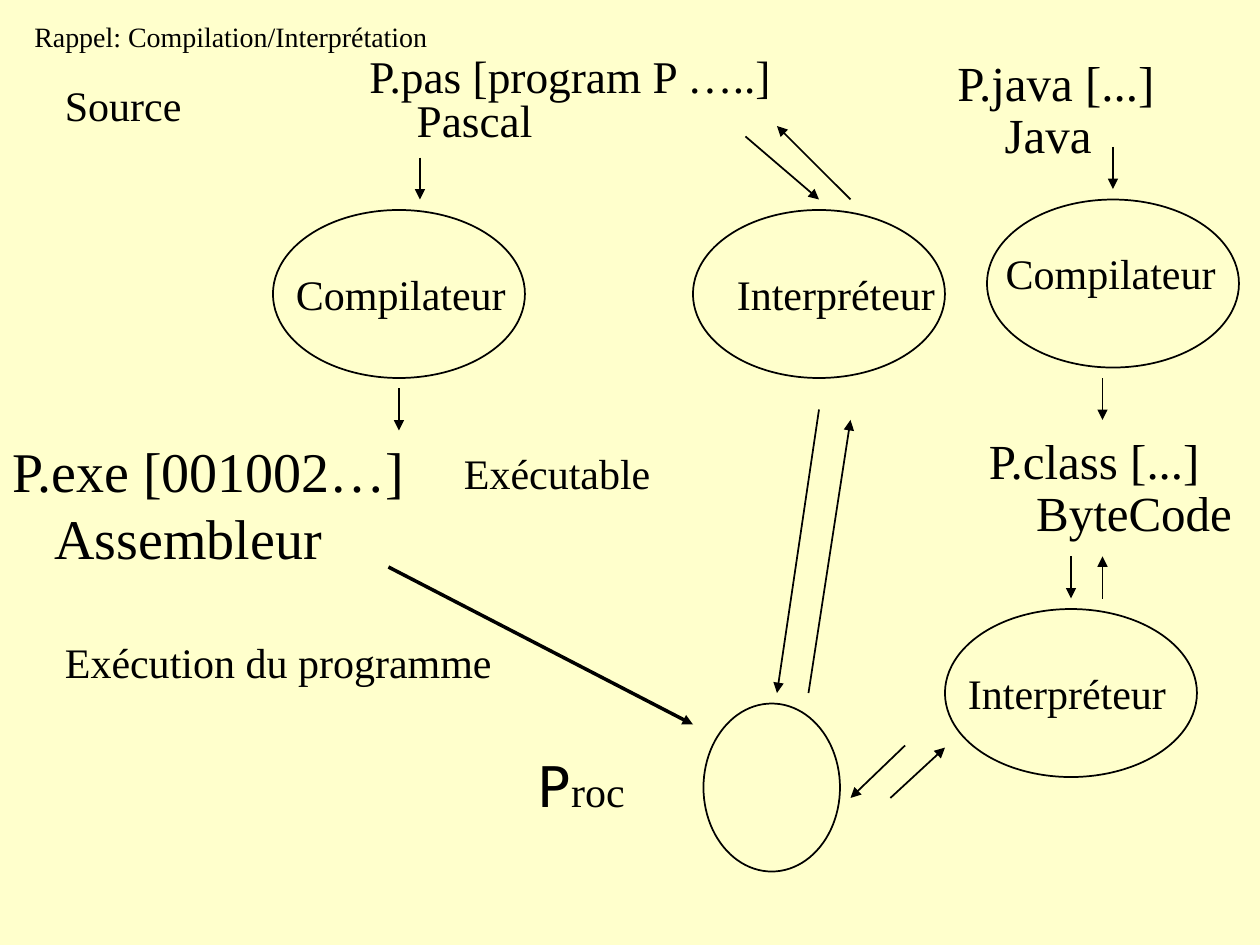
from lxml.etree import SubElement
from pptx import Presentation
from pptx.dml.color import RGBColor
from pptx.enum.shapes import MSO_CONNECTOR, MSO_SHAPE
from pptx.enum.text import MSO_ANCHOR, PP_ALIGN
from pptx.oxml.ns import qn
from pptx.util import Inches, Pt

COLS, ROWS = 120, 90
WIDE, HIGH = Inches(10), Inches(7.5)
INK = {"page": "FFFFCC", "ink": "000000"}
SERIF, MONO = "Times New Roman", "DejaVu Sans Mono"


def tint(name):
    return RGBColor.from_string(INK[name])


def spot(box, at):
    """Turn a column and row inside a box into slide lengths."""
    return (round(WIDE * (box[0] + at[0]) / COLS),
            round(HIGH * (box[1] + at[1]) / ROWS))


def style(run, size, font=SERIF):
    run.font.size = Pt(size)
    run.font.name = font
    run.font.color.rgb = tint("ink")


def write(slide, box, at, span, words, size=24, before=15, hang=0, lead=1):
    """Place one paragraph; hang indents its later lines, in columns."""
    text = slide.shapes.add_textbox(*spot(box, at), *spot((0, 0), span))
    frame = text.text_frame
    frame.word_wrap = True
    para = frame.paragraphs[0]
    para.text = words
    para.space_before = Pt(before)
    para.line_spacing = lead
    if hang:
        props = para._p.get_or_add_pPr()
        inset = round(WIDE * hang / COLS)
        props.set("marL", str(inset))
        props.set("indent", str(-inset))
    for run in para.runs:
        style(run, size)
    return frame


def arrow(slide, box, start, end, width=1):
    line = slide.shapes.add_connector(
        MSO_CONNECTOR.STRAIGHT, *spot(box, start), *spot(box, end))
    line.line.color.rgb = tint("ink")
    line.line.width = Pt(width)
    SubElement(line.line._get_or_add_ln(), qn("a:tailEnd"), type="triangle")
    SubElement(line._element.spPr, qn("a:effectLst"))


def oval(slide, box, at, span):
    shape = slide.shapes.add_shape(
        MSO_SHAPE.OVAL, *spot(box, at), *spot((0, 0), span))
    shape.shadow.inherit = False
    shape.fill.background()
    shape.line.color.rgb = tint("ink")
    shape.line.width = Pt(1)


def tool(slide, box, at, name, shift):
    """Draw a translating program: an oval and its label."""
    oval(slide, box, at, (24, 16))
    place = at[0] + shift[0], at[1] + shift[1]
    write(slide, box, place, (51, 6), name)


def title(slide, box):
    frame = write(slide, box, (0, 0), box[2:],
                  "Rappel: Compilation/Interprétation", 16, 0)
    frame.vertical_anchor = MSO_ANCHOR.MIDDLE
    frame.paragraphs[0].alignment = PP_ALIGN.CENTER


def phases(slide, box):
    write(slide, box, (0, 0), (35, 6), "Source")
    write(slide, box, (0, 53), (58, 6), "Exécution du programme")


def pascal(slide, box):
    write(slide, box, (34, 0), (62, 10), "P.pas [program P …..]\vPascal",
          25.9, 7, 4.5, 0.8)
    arrow(slide, box, (40, 10), (40, 14))
    tool(slide, box, (26, 15), "Compilateur", (1, 5))
    arrow(slide, box, (38, 32), (38, 36))
    write(slide, box, (0, 36), (40.3, 13.9),
          "P.exe [001002…]\vAssembleur", 32, 8, 4)
    write(slide, box, (43, 37), (40, 6), "Exécutable")
    arrow(slide, box, (37, 49), (66, 64), 2)


def direct(slide, box):
    """Interpret the Pascal source without compiling it."""
    arrow(slide, box, (5, 1), (12, 7))
    arrow(slide, box, (15, 7), (8, 0))
    tool(slide, box, (0, 8), "Interpréteur", (3, 5))
    arrow(slide, box, (12, 27), (8, 54))
    arrow(slide, box, (11, 54), (15, 28))


def java(slide, box):
    for at, words in (((0, 0), "P.java [...]\vJava"),
                      ((3, 36), "P.class [...]\vByteCode")):
        write(slide, box, at, (62, 10), words, 28, 7, 4.5, 0.9)
    arrow(slide, box, (16, 9), (16, 13))
    tool(slide, box, (4, 14), "Compilateur", (0.6, 4))
    arrow(slide, box, (15, 31), (15, 35))
    arrow(slide, box, (12, 48), (12, 52))
    arrow(slide, box, (15, 52), (15, 48))
    tool(slide, box, (0, 53), "Interpréteur", (1, 5))


def chip(slide, box):
    """Draw the processor and its exchange with the Java side."""
    oval(slide, box, (17, 0), (13, 16))
    para = write(slide, box, (0, 4), (41, 7.5), "P").paragraphs[0]
    style(para.runs[0], 32, MONO)
    rest = para.add_run()
    rest.text = "roc"
    style(rest, 24)
    arrow(slide, box, (36.2, 4), (31, 9))
    arrow(slide, box, (34.8, 9), (40, 4.2))


def main():
    deck = Presentation()
    deck.slide_width, deck.slide_height = WIDE, HIGH
    slide = deck.slides.add_slide(deck.slide_layouts[6])
    slide.background.fill.solid()
    slide.background.fill.fore_color.rgb = tint("page")
    title(slide, (-29, -4, 102, 15))
    phases(slide, (5, 7))
    pascal(slide, (0, 5))
    direct(slide, (66, 12))
    java(slide, (90, 5))
    chip(slide, (50, 67))
    deck.save("out.pptx")


if __name__ == "__main__":
    main()
